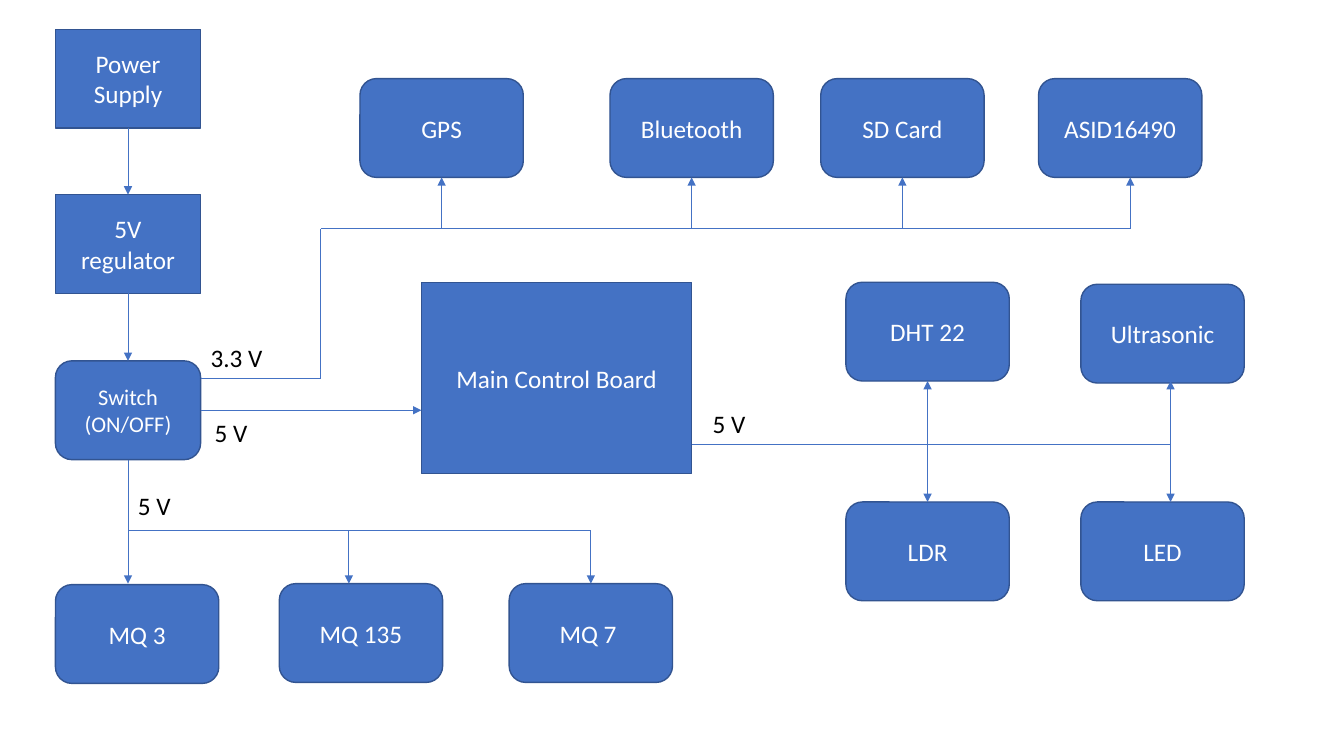
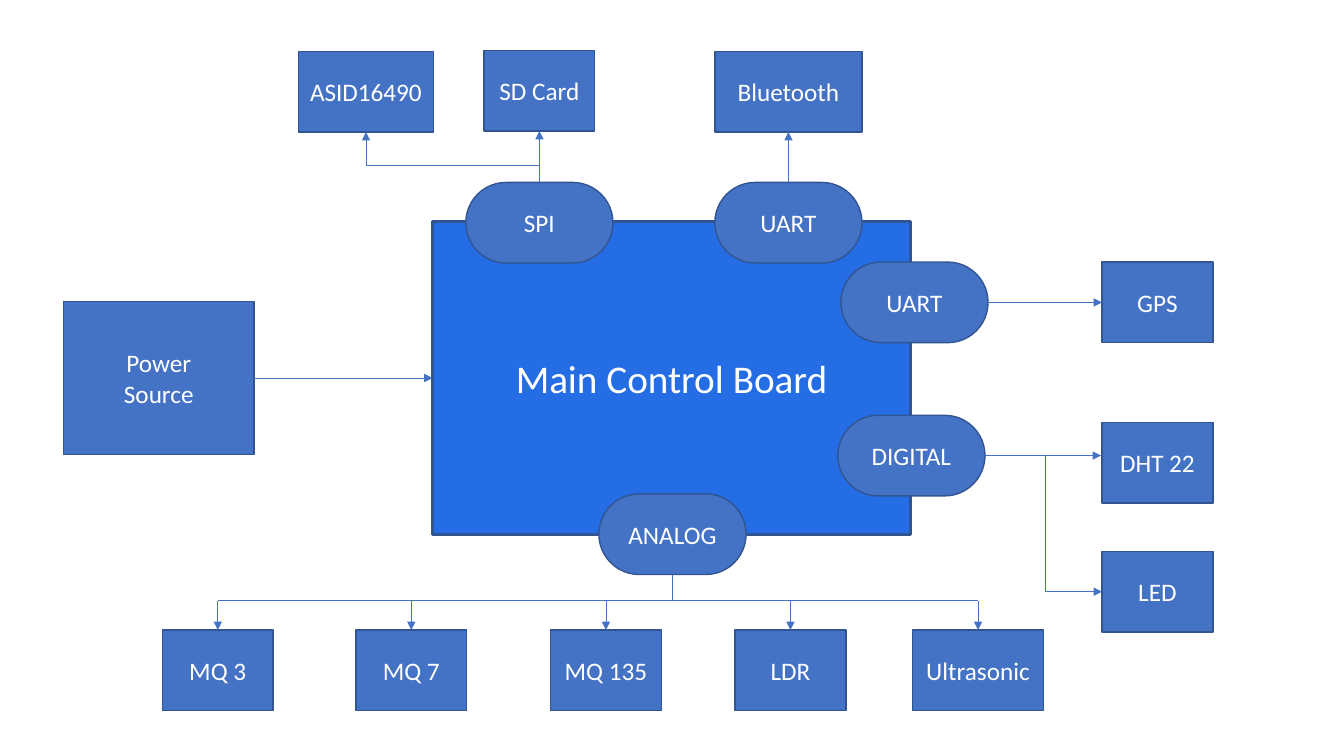
from pptx import Presentation
from pptx.dml.color import RGBColor
from pptx.enum.shapes import MSO_CONNECTOR, MSO_SHAPE as Preset
from pptx.enum.text import MSO_ANCHOR, MSO_AUTO_SIZE, PP_ALIGN
from pptx.oxml.ns import qn
from pptx.util import Pt
from lxml.etree import SubElement

PX = 9144
SLIDE_SIZE = (1333, 750)
FONT = "Calibri"
BLUE, BRIGHT, OUTLINE, WHITE, BLACK = "4472C4", "246DE4", "325491", "FFFFFF", "000000"
TOP, LEFT, BOTTOM, RIGHT = range(4)

KINDS = {
    "supply": dict(size=(144, 98)),
    "switch": dict(size=(144, 98), preset=Preset.ROUNDED_RECTANGLE, points=16),
    "device": dict(size=(162, 98), preset=Preset.ROUNDED_RECTANGLE),
    "board": dict(size=(268, 190)),
    "big board": dict(size=(474, 310), fill=BRIGHT, weight=2, points=28),
    "port": dict(size=(146, 80), preset=Preset.ROUNDED_RECTANGLE, corner=0.5),
    "source": dict(size=(189, 152)),
    "part": dict(size=(110, 80)),
    "wide part": dict(size=(130, 80)),
    "long part": dict(size=(134, 80)),
    "radio": dict(size=(146, 80)),
}
BOARD = "Main Control Board"

POWER_DIAGRAM = dict(
    boxes=[
        ("supply", 55, [(29, "Power Supply"), (193, "5V\nregulator")]),
        ("switch", 55, [(358, "Switch\n(ON/OFF)")]),
        ("board", 418, [(280, BOARD)]),
        ("device", 839, [(280, "DHT 22"), (498, "LDR")]),
        ("device", 1072, [(282, "Ultrasonic"), (498, "LED")]),
        ("device", 55, [(580, "MQ 3")]),
        ("device", 277, [(579, "MQ 135")]),
        ("device", 505, [(579, "MQ 7 ")]),
        ("device", 357, [(78, "GPS")]),
        ("device", 605, [(78, "Bluetooth")]),
        ("device", 814, [(78, "SD Card")]),
        ("device", 1030, [(78, "ASID16490")]),
    ],
    arrows=[
        [(127, 127), (127, 193)],
        [(127, 291), (127, 358)],
        [(127, 456), (127, 579)],
        [(199, 407), (418, 407)],
    ],
    lines=[[(199, 375), (318, 375), (318, 227)]],
    buses=[
        (526, 127, 586, [(346, 579), (586, 579)]),
        (227, 318, 1121, [(438, 176), (686, 176), (895, 176), (1121, 176)]),
        (441, 686, 1161, [(920, 378), (1161, 378), (920, 498), (1161, 498)]),
    ],
    labels=[
        ("3.3 V", 199, 335, 72),
        ("5 V", 697, 400, 53),
        ("5 V", 127, 482, 53),
        ("5 V", 203, 409, 53),
    ],
)

PORT_DIAGRAM = dict(
    boxes=[
        ("big board", 429, [(220, BOARD)]),
        ("port", 462, [(181, "SPI")]),
        ("port", 709, [(181, "UART")]),
        ("port", 834, [(260, "UART")]),
        ("port", 831, [(412, "DIGITAL")]),
        ("port", 594, [(490, "ANALOG")]),
        ("source", 63, [(299, "Power\nSource")]),
        ("long part", 296, [(51, "ASID16490")]),
        ("part", 480, [(50, "SD Card")]),
        ("radio", 709, [(51, "Bluetooth")]),
        ("part", 1093, [(260, "GPS"), (419, "DHT 22"), (547, "LED")]),
        ("part", 161, [(625, "MQ 3")]),
        ("part", 353, [(625, "MQ 7")]),
        ("part", 546, [(625, "MQ 135")]),
        ("part", 729, [(625, "LDR")]),
        ("wide part", 905, [(625, "Ultrasonic")]),
    ],
    arrows=[
        [(535, 181), (535, 130)],
        [(782, 181), (782, 131)],
        [(980, 300), (1093, 300)],
        [(977, 452), (1092, 452)],
        [(1037, 452), (1037, 587), (1093, 587)],
        [(252, 375), (429, 375)],
    ],
    lines=[[(667, 570), (667, 596)]],
    buses=[
        (596, 216, 970, [(x, 625) for x in (216, 408, 601, 784, 970)]),
        (164, 363, 535, [(363, 131)]),
    ],
    labels=[],
)


def emu(*lengths):
    return [round(length * PX) for length in lengths]


def rgb(value):
    return RGBColor.from_string(value)


def write(shape, text, color=WHITE, points=18, align=PP_ALIGN.CENTER, anchor=MSO_ANCHOR.MIDDLE, wrap=True):
    frame = shape.text_frame
    frame.word_wrap = wrap
    frame.vertical_anchor = anchor
    frame.text = text
    for paragraph in frame.paragraphs:
        paragraph.alignment = align
        for run in paragraph.runs:
            run.font.name = FONT
            run.font.size = Pt(points)
            run.font.color.rgb = rgb(color)


def add_box(slide, text, x, y, size, preset=Preset.RECTANGLE, fill=BLUE, weight=1, points=18, corner=None):
    shape = slide.shapes.add_shape(preset, *emu(x, y, *size))
    shape.shadow.inherit = False
    shape.fill.solid()
    shape.fill.fore_color.rgb = rgb(fill)
    shape.line.color.rgb = rgb(OUTLINE)
    shape.line.width = Pt(weight)
    if corner is not None:
        shape.adjustments[0] = corner
    write(shape, text, points=points)
    width, height = size
    return {
        (x + width / 2, y): (shape, TOP),
        (x, y + height / 2): (shape, LEFT),
        (x + width / 2, y + height): (shape, BOTTOM),
        (x + width, y + height / 2): (shape, RIGHT),
    }


def add_wire(slide, sites, start, end, arrow=False):
    connector = slide.shapes.add_connector(MSO_CONNECTOR.STRAIGHT, *emu(*start, *end))
    connector.line.color.rgb = rgb(BLUE)
    connector.line.width = Pt(0.5)
    if arrow:
        SubElement(connector.line._get_or_add_ln(), qn("a:tailEnd"), type="triangle")
    SubElement(connector._element.spPr, qn("a:effectLst"))
    if start in sites:
        connector.begin_connect(*sites[start])
    if end in sites:
        connector.end_connect(*sites[end])


def add_route(slide, sites, points, arrow=False):
    for index in range(1, len(points)):
        is_last = index == len(points) - 1
        add_wire(slide, sites, points[index - 1], points[index], arrow and is_last)


def add_label(slide, text, x, y, width):
    label = slide.shapes.add_textbox(*emu(x, y, width, 40))
    write(label, text, color=BLACK, align=PP_ALIGN.LEFT, anchor=MSO_ANCHOR.TOP, wrap=False)
    label.text_frame.auto_size = MSO_AUTO_SIZE.SHAPE_TO_FIT_TEXT


def add_diagram(presentation, diagram):
    slide = presentation.slides.add_slide(presentation.slide_layouts[6])
    sites = {}
    for kind, x, column in diagram["boxes"]:
        for y, text in column:
            sites.update(add_box(slide, text, x, y, **KINDS[kind]))
    for points in diagram["arrows"]:
        add_route(slide, sites, points, arrow=True)
    for points in diagram["lines"]:
        add_route(slide, sites, points)
    for level, left, right, taps in diagram["buses"]:
        add_wire(slide, sites, (left, level), (right, level))
        for x, y in taps:
            add_wire(slide, sites, (x, level), (x, y), arrow=True)
    for label in diagram["labels"]:
        add_label(slide, *label)


def main():
    presentation = Presentation()
    presentation.slide_width, presentation.slide_height = emu(*SLIDE_SIZE)
    for diagram in (POWER_DIAGRAM, PORT_DIAGRAM):
        add_diagram(presentation, diagram)
    presentation.save("out.pptx")


if __name__ == "__main__":
    main()
